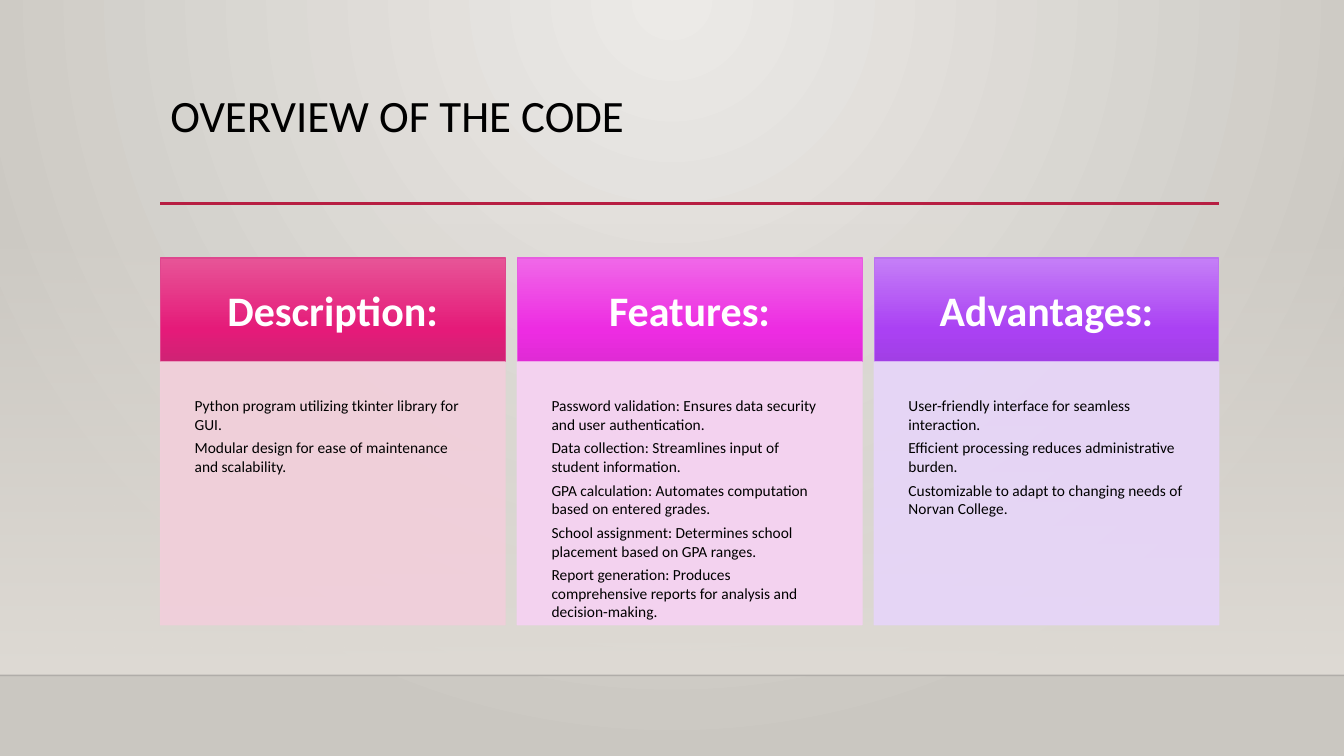
import lxml.etree
import pptx
import pptx.dml.color
import pptx.enum.shapes
import pptx.enum.text
import pptx.oxml.ns
import pptx.util
from dataclasses import dataclass

Inches, Pt, qn = pptx.util.Inches, pptx.util.Pt, pptx.oxml.ns.qn
RGB = pptx.dml.color.RGBColor.from_string
ALIGN, ANCHOR = pptx.enum.text.PP_ALIGN, pptx.enum.text.MSO_ANCHOR


@dataclass(frozen=True)
class Theme:
    font: str = "Calibri"
    title_size: float = 32
    header_size: float = 30
    body_size: float = 11
    text: str = "000000"
    on_color: str = "FFFFFF"
    accent: str = "B71E42"
    back: tuple = ("ECEAE7", "CAC7C1")
    floor: str = "DFDBD5"
    floor_line: str = "000001"


THEME = Theme()

# Header gradient, header outline, panel tint, heading, lines
COLUMNS = [
    (("E75597", "E51A79", "CF2374"), "DE478E", "F2CFDB", "Description:", [
        "Python program utilizing tkinter library for GUI.",
        "Modular design for ease of maintenance and scalability."]),
    (("F068E8", "ED2CE2", "E02BD5"), "E85CE0", "F6D2F3", "Features:", [
        "Password validation: Ensures data security and user authentication.",
        "Data collection: Streamlines input of student information.",
        "GPA calculation: Automates computation based on entered grades.",
        "School assignment: Determines school placement based on GPA ranges.",
        "Report generation: Produces comprehensive reports for analysis and decision-making."]),
    (("C57FF7", "AA41F3", "A13FE5"), "BC72F0", "E7D5F9", "Advantages:", [
        "User-friendly interface for seamless interaction.",
        "Efficient processing reduces administrative burden.",
        "Customizable to adapt to changing needs of Norvan College."]),
]


def set_alpha(element, percent):
    for clr in element.iter(qn("a:srgbClr")):
        lxml.etree.SubElement(clr, qn("a:alpha"), val=str(percent * 1000))


def set_gradient(fill, parent, stops, circle=False):
    """Fill with (position, colour, opacity) stops, downward or from the top centre."""
    fill.solid()
    grad = lxml.etree.Element(qn("a:gradFill"), rotWithShape="1")
    gs_list = lxml.etree.SubElement(grad, qn("a:gsLst"))
    for pos, color, alpha in stops:
        gs = lxml.etree.SubElement(gs_list, qn("a:gs"), pos=str(pos * 1000))
        lxml.etree.SubElement(gs, qn("a:srgbClr"), val=color)
        if alpha < 100:
            set_alpha(gs, alpha)
    if circle:
        path = lxml.etree.SubElement(grad, qn("a:path"), path="circle")
        lxml.etree.SubElement(path, qn("a:fillToRect"), l="43000", t="0", r="43000", b="100000")
    else:
        lxml.etree.SubElement(grad, qn("a:lin"), ang="5400000", scaled="0")
    parent.replace(parent.find(qn("a:solidFill")), grad)


def add_rect(s, x, y, w, h):
    sp = s.shapes.add_shape(pptx.enum.shapes.MSO_SHAPE.RECTANGLE,
                            Inches(x), Inches(y), Inches(w), Inches(h))
    sp.shadow.inherit = False
    return sp


def add_rule(s, x, y, w, color, width):
    line = s.shapes.add_connector(pptx.enum.shapes.MSO_CONNECTOR.STRAIGHT,
                                  Inches(x), Inches(y), Inches(x + w), Inches(y))
    line.line.color.rgb = RGB(color)
    line.line.width = Pt(width)
    lxml.etree.SubElement(line._element.spPr, qn("a:effectLst"))
    return line


def write(tf, lines, size, color, align, anchor, inset, bold=False):
    tf.word_wrap = True
    tf.auto_size = pptx.enum.text.MSO_AUTO_SIZE.NONE
    tf.vertical_anchor = anchor
    tf.margin_left = tf.margin_right = tf.margin_top = tf.margin_bottom = Inches(inset)
    for i, line in enumerate(lines):
        p = tf.paragraphs[0] if i == 0 else tf.add_paragraph()
        p.alignment = align
        p.space_after = Pt(size * 0.35)
        r = p.add_run()
        r.text = line
        r.font.name, r.font.size, r.font.bold = THEME.font, Pt(size), bold
        r.font.color.rgb = RGB(color)


def add_backdrop(s, w, h):
    # Page gradient
    fill = s.background.fill
    fill.solid()
    inner, outer = THEME.back
    set_gradient(fill, s._element.find(".//" + qn("p:bgPr")),
                 [(0, inner, 100), (100, outer, 100)], circle=True)
    # Fading wall and floor edge
    top, edge = 2.21, h - 0.8
    wall = add_rect(s, 0, top, w, edge - top)
    set_gradient(wall.fill, wall._element.spPr, [(0, THEME.floor, 0), (100, THEME.floor, 100)])
    wall.line.fill.background()
    line = add_rule(s, 0, edge, w, THEME.floor_line, 1)
    set_alpha(line._element.spPr, 20)


def add_title(s, x, y, w, h, text):
    sp = s.shapes.title
    sp.left, sp.top, sp.width, sp.height = Inches(x), Inches(y), Inches(w), Inches(h)
    tf = sp.text_frame
    write(tf, [text], THEME.title_size, THEME.text, ALIGN.LEFT, ANCHOR.TOP, 0.1)
    tf.margin_top = tf.margin_bottom = Inches(0.05)
    tf.paragraphs[0].line_spacing = 0.9
    add_rule(s, x, y + 1.14, w, THEME.accent, 2.5)


def add_column(s, x, y, w, h, column):
    shades, outline, tint, heading, lines = column
    header_h = 1.03
    # Header
    sp = add_rect(s, x, y, w, header_h)
    set_gradient(sp.fill, sp._element.spPr,
                 [(pos, shade, 100) for pos, shade in zip((0, 69, 100), shades)])
    sp.line.color.rgb = RGB(outline)
    sp.line.width = Pt(0.75)
    write(sp.text_frame, [heading], THEME.header_size, THEME.on_color,
          ALIGN.CENTER, ANCHOR.MIDDLE, 0.27, bold=True)
    # Panel
    sp = add_rect(s, x, y + header_h, w, h - header_h)
    sp.fill.solid()
    sp.fill.fore_color.rgb = sp.line.color.rgb = RGB(tint)
    sp.line.width = Pt(0.75)
    set_alpha(sp._element.spPr, 90)
    write(sp.text_frame, lines, THEME.body_size, THEME.text, ALIGN.LEFT, ANCHOR.TOP, 0.34)


def add_columns(s, x, y, w, h, columns, gap=0.12):
    col_w = (w - gap * (len(columns) - 1)) / len(columns)
    for i, column in enumerate(columns):
        add_column(s, x + i * (col_w + gap), y, col_w, h, column)


def main():
    prs = pptx.Presentation()
    w, h = 13.33, 7.5
    prs.slide_width, prs.slide_height = Inches(w), Inches(h)
    s = prs.slides.add_slide(prs.slide_layouts[5])
    add_backdrop(s, w, h)
    add_title(s, 1.59, 0.88, 10.5, 1.15, "OVERVIEW OF THE CODE")
    add_columns(s, 1.59, 2.56, 10.5, 3.64, COLUMNS)
    prs.save("out.pptx")


if __name__ == "__main__":
    main()
